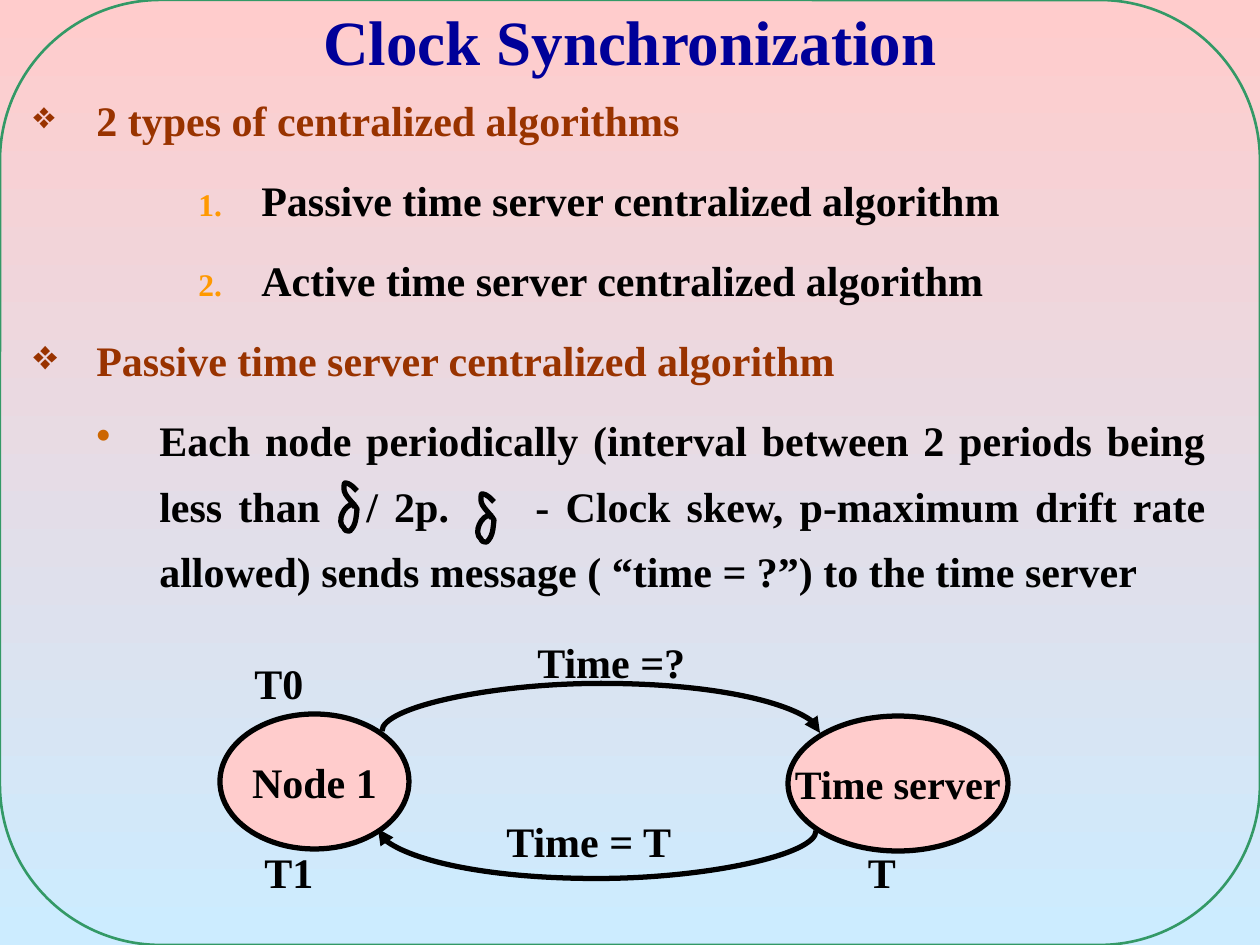
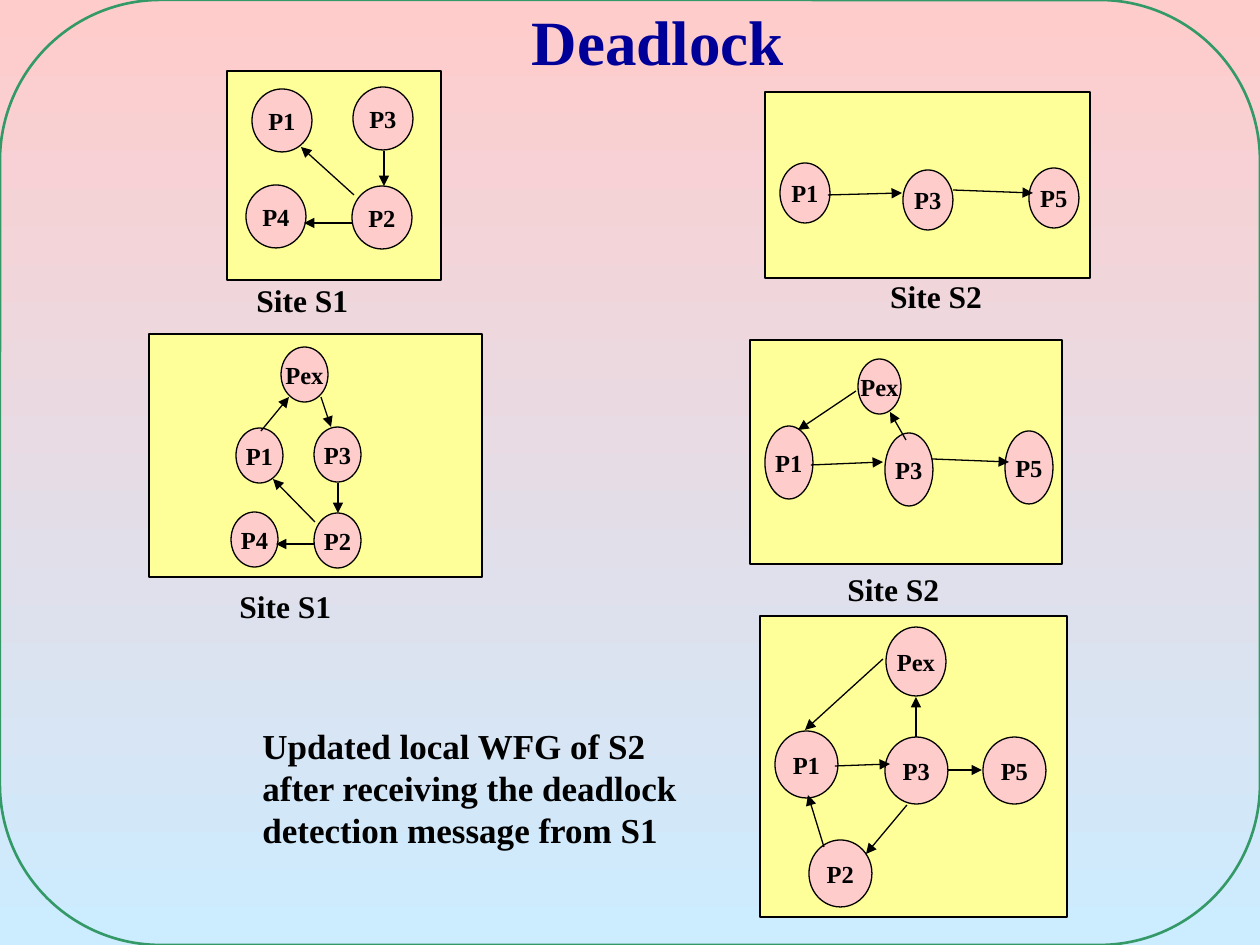
from lxml import etree
from pptx import Presentation
from pptx.dml.color import RGBColor
from pptx.enum.shapes import MSO_CONNECTOR, MSO_SHAPE
from pptx.enum.text import MSO_ANCHOR, MSO_AUTO_SIZE, PP_ALIGN
from pptx.oxml.ns import qn
from pptx.util import Pt

PX = 914400 / 126
FONT = "Times New Roman"
HUE = {
    "top": "FFCCCC", "base": "CCECFF", "frame": "339966", "title": "000099",
    "text": "000000", "head": "993300", "num": "FF9900", "dot": "CC6600",
    "node": "FFCCCC", "site": "FFFF99",
}
RGB = {name: RGBColor.from_string(code) for name, code in HUE.items()}
LEFT, MID, JUST = PP_ALIGN.LEFT, PP_ALIGN.CENTER, PP_ALIGN.JUSTIFY
OVAL, RECT, ROUND = MSO_SHAPE.OVAL, MSO_SHAPE.RECTANGLE, MSO_SHAPE.ROUNDED_RECTANGLE
LINE, CURVE = MSO_CONNECTOR.STRAIGHT, MSO_CONNECTOR.CURVE


def block(shapes, kind, box, text="", size=14, hue="text", align=MID,
          fill=None, edge="text", width=0.75):
    """Add a preset shape, or a text box if kind is None, with its text."""
    spot = [round(v * PX) for v in box]
    if kind is None:
        shape = shapes.add_textbox(*spot)
    else:
        shape = shapes.add_shape(kind, *spot)
        shape.shadow.inherit = False
        if fill:
            shape.fill.solid()
            shape.fill.fore_color.rgb = RGB[fill]
        else:
            shape.fill.background()
        shape.line.color.rgb = RGB[edge]
        shape.line.width = Pt(width)
    frame = shape.text_frame
    frame.word_wrap = kind is None
    frame.vertical_anchor = MSO_ANCHOR.TOP if kind is None else MSO_ANCHOR.MIDDLE
    if text:
        para = frame.paragraphs[0]
        para.text = text
        para.alignment = align
        para.font.name, para.font.size, para.font.bold = FONT, Pt(size), True
        para.font.color.rgb = RGB[hue]
    return shape


def arrow(shapes, kind, ends, width=0.75):
    line = shapes.add_connector(kind, *[round(v * PX) for v in ends])
    line.line.color.rgb = RGB["text"]
    line.line.width = Pt(width)
    props = line.element.spPr
    etree.SubElement(props.find(qn("a:ln")), qn("a:tailEnd"), type="triangle")
    etree.SubElement(props, qn("a:effectLst"))
    return line


deck = Presentation()
deck.slide_width, deck.slide_height = round(1260 * PX), round(945 * PX)

# Shared background, frame and title
pages = []
for title, left in [("Clock Synchronization", 0), ("Deadlock", 28)]:
    slide = deck.slides.add_slide(deck.slide_layouts[6])
    back = slide.background.fill
    back.gradient()
    back.gradient_angle = 270
    for stop, hue, place in zip(back.gradient_stops, ("top", "base"), (0, 1)):
        stop.color.rgb = RGB[hue]
        stop.position = place
    frame = block(slide.shapes, ROUND, (0, 0, 1260, 945), edge="frame", width=1.5)
    frame.adjustments[0] = 0.17
    head = block(slide.shapes, None, (left, 0, 1260, 84), title, 36, "title")
    head.text_frame.vertical_anchor = MSO_ANCHOR.BOTTOM
    pages.append(slide.shapes)
clock, dead = pages

# Clock Synchronization: the list
# Each style: level, margin, text colour, bullet colour, bullet size, bullet
STYLES = {
    "small": (0, 63, "head", "head", 90, "❖"),
    "large": (0, 63, "head", "head", 100, "❖"),
    "item": (3, 228, "text", "num", 75, None),
    "note": (1, 126, "text", "dot", 100, "•"),
}
# Each run: text, extra letter spacing in points (room for a drawn delta)
ROWS = [
    ("small", [("2 types of centralized algorithms", 0)]),
    ("item", [("Passive time server centralized algorithm", 0)]),
    ("item", [("Active time server centralized algorithm", 0)]),
    ("large", [("Passive time server centralized algorithm", 0)]),
    ("note", [
        ("Each node periodically (interval between 2 periods being less than", 0),
        (" ", 17), ("/ 2p.", 0), (" ", 40),
        ("- Clock skew, p-maximum drift rate allowed) sends message "
         "( “time = ?”) to the time server", 0),
    ]),
]
body = block(clock, None, (21, 73, 1197, 840)).text_frame
for i, (style, runs) in enumerate(ROWS):
    level, margin, hue, mark, scale, sign = STYLES[style]
    para = body.add_paragraph() if i else body.paragraphs[0]
    props = para._p.get_or_add_pPr()
    props.set("marL", str(round(margin * PX)))
    props.set("indent", str(round(-63 * PX)))
    color = etree.SubElement(props, qn("a:buClr"))
    etree.SubElement(color, qn("a:srgbClr"), val=HUE[mark])
    etree.SubElement(props, qn("a:buSzPct"), val=str(scale * 1000))
    if sign:
        etree.SubElement(props, qn("a:buChar"), char=sign)
    else:
        etree.SubElement(props, qn("a:buAutoNum"), type="arabicPeriod")
    para.level, para.alignment = level, JUST
    para.line_spacing, para.space_before = 1.3, Pt(8.4)
    para.font.name, para.font.size, para.font.bold = FONT, Pt(24), True
    para.font.color.rgb = RGB[hue]
    for text, space in runs:
        run = para.add_run()
        run.text = text
        if space:
            run._r.get_or_add_rPr().set("spc", str(space * 100))

# Clock Synchronization: the message exchange
for text, size, box in [
    ("Node 1", 24, (220, 714, 189, 135)),
    ("Time server", 23, (788, 716, 220, 135)),
]:
    block(clock, OVAL, box, text, size, fill="node", width=3)

for turn, left, top in [(90, 600, 513), (270, 596, 611)]:
    arc = arrow(clock, CURVE, (left, top + 438, left + 2, top), 3)
    props = arc.element.spPr
    props.find(qn("a:xfrm")).set("rot", str(turn * 60000))
    guides = props.find(qn("a:prstGeom")).get_or_add_avLst()
    etree.SubElement(guides, qn("a:gd"), name="adj1", fmla="val -2400000")

for text, box, align in [
    ("Time =?", (525, 630, 189, 63), LEFT),
    ("Time = T", (494, 809, 210, 63), LEFT),
    ("T0", (242, 651, 105, 63), LEFT),
    ("T1", (252, 840, 105, 63), LEFT),
    ("T", (824, 840, 116, 63), MID),
]:
    label = block(clock, None, box, text, 24, align=align)
    label.text_frame.auto_size = MSO_AUTO_SIZE.SHAPE_TO_FIT_TEXT

# The delta sign is a chain of cubic curves, three points to a curve
DELTA = [
    (21, 8), (18, 5), (14, 0), (9, 0), (8, 0), (8, 4), (8, 6), (8, 13),
    (18, 20), (21, 26), (20, 35), (20, 42), (14, 48), (11, 48), (9, 48),
    (8, 45), (0, 39), (8, 21), (18, 21), (18, 21), (16, 23), (15, 24),
]
STEPS = 8
for left, top in [(336, 483), (473, 494)]:
    dots = [((left + x) * PX, (top + y) * PX) for x, y in DELTA]
    trace = []
    for i in range(0, len(dots) - 1, 3):
        for step in range(1, STEPS + 1):
            t = step / STEPS
            u = 1 - t
            parts = (u ** 3, 3 * u * u * t, 3 * u * t * t, t ** 3)
            trace.append(tuple(
                sum(p * dot[axis] for p, dot in zip(parts, dots[i:i + 4]))
                for axis in (0, 1)))
    pen = clock.build_freeform(*dots[0])
    pen.add_line_segments(trace, close=False)
    delta = pen.convert_to_shape()
    delta.shadow.inherit = False
    delta.fill.background()
    delta.line.color.rgb = RGB["text"]
    delta.line.width = Pt(3)

# Deadlock: wait-for graphs, one group for each site
SITES = [
    {"box": (765, 92, 325, 186), "size": (50, 60),
     "label": ("Site S2", (806, 271, 260, 50), MID),
     "nodes": [("P1", 780, 163), ("P3", 903, 170), ("P5", 1029, 168)],
     "links": [(953, 190, 1033, 193), (828, 195, 902, 193)]},
    {"box": (227, 71, 214, 209), "size": (60, 63),
     "label": ("Site S1", (244, 275, 165, 50), LEFT),
     "nodes": [("P1", 252, 89), ("P3", 353, 87), ("P4", 246, 185), ("P2", 352, 186)],
     "links": [(384, 151, 384, 186), (353, 223, 304, 223), (354, 195, 301, 147)]},
    {"box": (149, 334, 333, 243), "size": (47, 55),
     "label": ("Site S1", (227, 581, 165, 50), LEFT),
     "nodes": [("P1", 236, 428), ("P3", 314, 427), ("P4", 231, 512),
               ("P2", 314, 513), ("Pex", 281, 347)],
     "links": [(338, 483, 338, 513), (314, 544, 276, 544), (315, 522, 273, 479),
               (261, 431, 289, 397), (321, 397, 331, 427)]},
    {"box": (750, 340, 312, 224), "size": (48, 73), "pex": (43, 55),
     "label": ("Site S2", (835, 564, 165, 50), LEFT),
     "nodes": [("P1", 765, 426), ("P3", 885, 433), ("P5", 1005, 431), ("Pex", 858, 359)],
     "links": [(932, 459, 1009, 462), (811, 465, 883, 462),
               (906, 440, 890, 412), (856, 391, 798, 430)]},
    {"box": (760, 616, 307, 301), "size": (63, 67), "pex": (60, 69),
     "nodes": [("P1", 775, 731), ("P2", 809, 840), ("P3", 885, 737),
               ("P5", 983, 737), ("Pex", 886, 627)],
     "links": [(835, 766, 890, 764), (907, 805, 866, 854), (824, 847, 808, 795),
               (883, 659, 805, 730), (916, 737, 916, 697), (948, 770, 982, 770)]},
]
for site in SITES:
    group = dead.add_group_shape().shapes
    block(group, RECT, site["box"], fill="site")
    for name, x, y in site["nodes"]:
        size = site.get("pex", site["size"]) if name == "Pex" else site["size"]
        block(group, OVAL, (x, y, *size), name, fill="node")
    for ends in site["links"]:
        arrow(group, LINE, ends)
    if "label" in site:
        text, box, align = site["label"]
        label = block(group, None, box, text, 18, align=align)
        label.text_frame.auto_size = MSO_AUTO_SIZE.SHAPE_TO_FIT_TEXT

note = block(dead, None, (250, 718, 452, 139),
             "Updated local WFG of S2 after receiving the deadlock "
             "detection message from S1", 20, align=LEFT)
note.text_frame.auto_size = MSO_AUTO_SIZE.SHAPE_TO_FIT_TEXT

deck.save("out.pptx")
